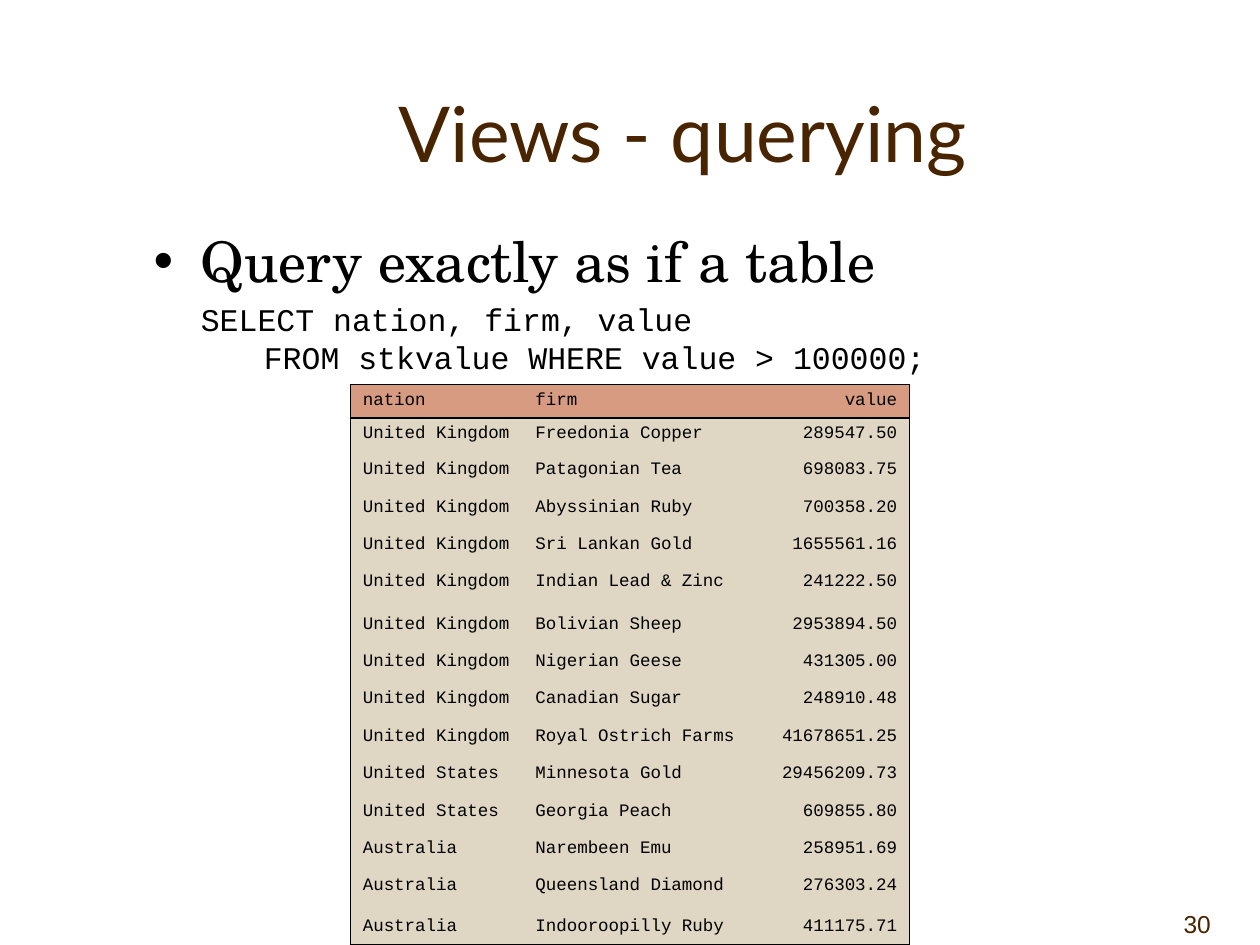
import dataclasses

import lxml.etree
import pptx
import pptx.dml.color
import pptx.enum.text
import pptx.oxml.ns
import pptx.util

ALIGN = pptx.enum.text.PP_ALIGN
ANCHOR = pptx.enum.text.MSO_ANCHOR
COLS, ROWS = 100, 75
WIDE, HIGH = pptx.util.Inches(10), pptx.util.Inches(7.5)


@dataclasses.dataclass(frozen=True)
class Theme:
    brown: str = "482400"
    black: str = "000000"
    head: str = "D69B80"
    sand: str = "DFD6C3"
    title: tuple = ("Lato", 44)
    body: tuple = ("TeX Gyre Schola", 32)
    code: tuple = ("Courier New", 18)
    cell: tuple = ("Courier New", 10)
    page: tuple = ("Arial", 14)
    line: float = 1


THEME = Theme()
HEADS = ("nation", "firm", "value")
FIRMS = {
    "United Kingdom": (
        ("Freedonia Copper", "289547.50"),
        ("Patagonian Tea", "698083.75"),
        ("Abyssinian Ruby", "700358.20"),
        ("Sri Lankan Gold", "1655561.16"),
        ("Indian Lead & Zinc", "241222.50"),
        ("Bolivian Sheep", "2953894.50"),
        ("Nigerian Geese", "431305.00"),
        ("Canadian Sugar", "248910.48"),
        ("Royal Ostrich Farms", "41678651.25"),
    ),
    "United States": (
        ("Minnesota Gold", "29456209.73"),
        ("Georgia Peach", "609855.80"),
    ),
    "Australia": (
        ("Narembeen Emu", "258951.69"),
        ("Queensland Diamond", "276303.24"),
        ("Indooroopilly Ruby", "411175.71"),
    ),
}
WIDTHS = (137, 185, 122)
HEIGHTS = (26, 29, 30, 30, 30, 34, *[30] * 7, 33, 26)


def across(cols):
    return round(WIDE * cols / COLS)


def down(rows):
    return round(HIGH * rows / ROWS)


def place(box):
    left, top, width, height = box
    return across(left), down(top), across(width), down(height)


def color(code):
    return pptx.dml.color.RGBColor.from_string(code)


def add(parent, tag, **attrs):
    return lxml.etree.SubElement(parent, pptx.oxml.ns.qn(tag), attrs)


def write(para, text, font, ink):
    run = para.add_run()
    run.text = text
    run.font.name, size = font
    run.font.size = pptx.util.Pt(size)
    run.font.color.rgb = color(ink)


def frame(slide, box, anchor):
    text = slide.shapes.add_textbox(*place(box)).text_frame
    text.word_wrap = True
    text.vertical_anchor = anchor
    return text


def hang(para, indent, mark=None):
    props = para._p.get_or_add_pPr()
    props.set("marL", str(indent))
    props.set("indent", str(-indent))
    add(add(props, "a:spcBef"), "a:spcPct", val="20000")
    if mark:
        add(props, "a:buFont", typeface="Arial")
        add(props, "a:buChar", char=mark)
    else:
        add(props, "a:buNone")


def title(slide, box):
    para = frame(slide, box, ANCHOR.MIDDLE).paragraphs[0]
    para.alignment = ALIGN.CENTER
    write(para, "Views - querying", THEME.title, THEME.brown)


def body(slide, box):
    text = frame(slide, box, ANCHOR.TOP)
    indent = across(3.75)
    point = text.paragraphs[0]
    hang(point, indent, "•")
    write(point, "Query exactly as if a table", THEME.body, THEME.black)
    query = text.add_paragraph()
    hang(query, indent)
    write(query, "\tSELECT nation, firm, value", THEME.code, THEME.black)
    query.add_line_break()
    write(query, "\tFROM stkvalue WHERE value > 100000;", THEME.code, THEME.black)


def edge(cell, sides):
    props = cell._tc.get_or_add_tcPr()
    for side in "LRTB":
        if side in sides:
            line = add(props, "a:ln" + side, w=str(pptx.util.Pt(THEME.line)))
            add(add(line, "a:solidFill"), "a:srgbClr", val=THEME.black)
        else:
            add(add(props, "a:ln" + side, w="0"), "a:noFill")


def sides(row, col):
    last = len(HEIGHTS) - 1
    rules = {
        "L": col == 0,
        "R": col == len(WIDTHS) - 1,
        "T": row in (0, 1),
        "B": row in (0, last),
    }
    return [side for side, drawn in rules.items() if drawn]


def result(slide, box):
    data = [HEADS] + [(land, *firm) for land, firms in FIRMS.items() for firm in firms]
    left, top, width, height = place(box)
    table = slide.shapes.add_table(
        len(data), len(HEADS), left, top, width, height
    ).table
    table.first_row = table.horz_banding = False
    for col, share in zip(table.columns, WIDTHS):
        col.width = round(width * share / sum(WIDTHS))
    for row, share in zip(table.rows, HEIGHTS):
        row.height = round(height * share / sum(HEIGHTS))
    for i, texts in enumerate(data):
        for j, text in enumerate(texts):
            cell = table.cell(i, j)
            edge(cell, sides(i, j))
            cell.fill.solid()
            cell.fill.fore_color.rgb = color(THEME.sand if i else THEME.head)
            para = cell.text_frame.paragraphs[0]
            para.alignment = ALIGN.RIGHT if j == 2 else ALIGN.LEFT
            write(para, text, THEME.cell, THEME.black)


def number(slide, box):
    text = frame(slide, box, ANCHOR.BOTTOM)
    text.margin_right = across(3.9)
    para = text.paragraphs[0]
    para.alignment = ALIGN.RIGHT
    write(para, "30", THEME.page, THEME.brown)


def main():
    deck = pptx.Presentation()
    deck.slide_width, deck.slide_height = WIDE, HIGH
    slide = deck.slides.add_slide(deck.slide_layouts[6])
    number(slide, (90.1, 70, 9.9, 5))
    title(slide, (11.7, 4.2, 85, 12.5))
    body(slide, (11.2, 17.5, 88.8, 43.3))
    result(slide, (27.8, 30.5, 44.4, 44.3))
    deck.save("out.pptx")


if __name__ == "__main__":
    main()
